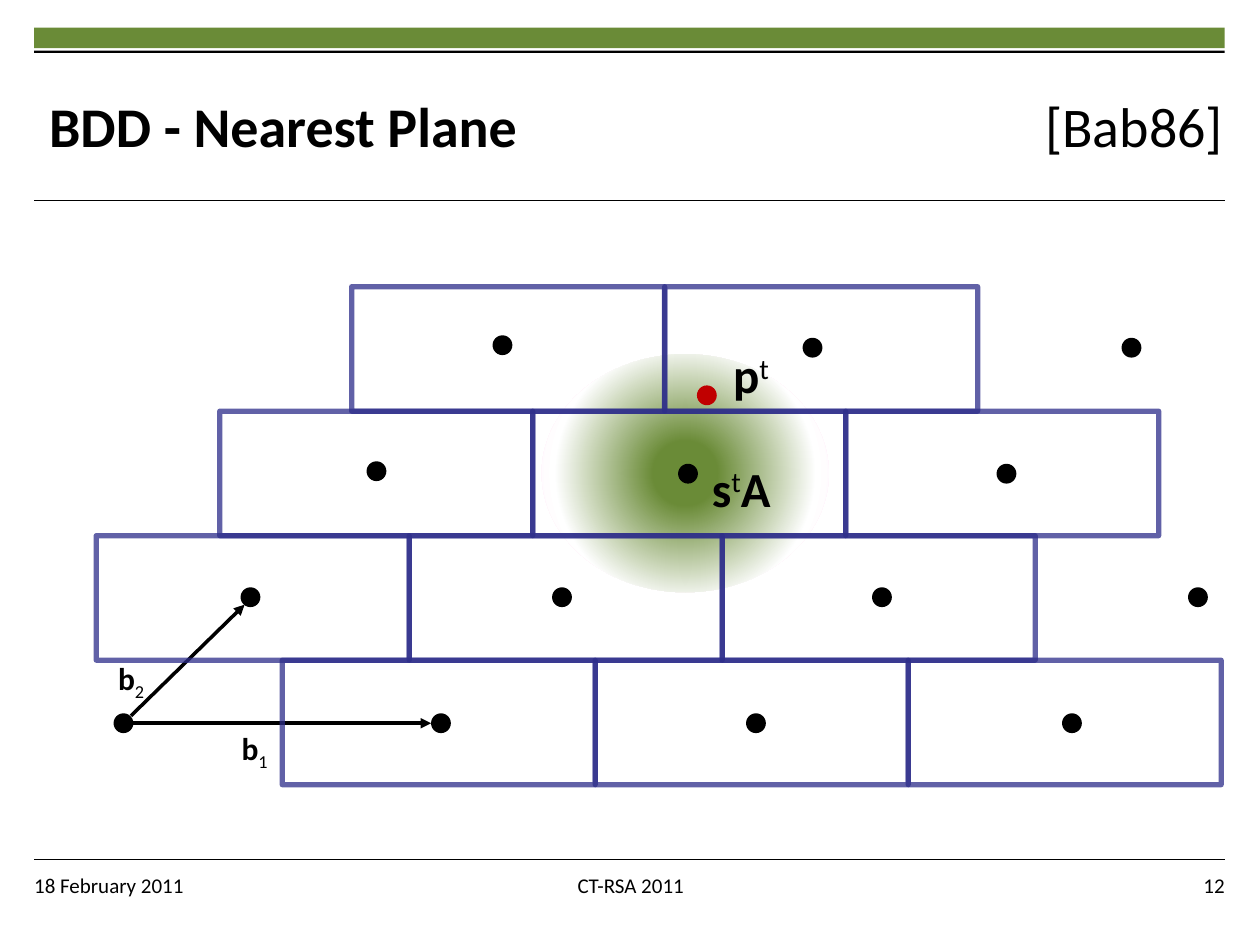
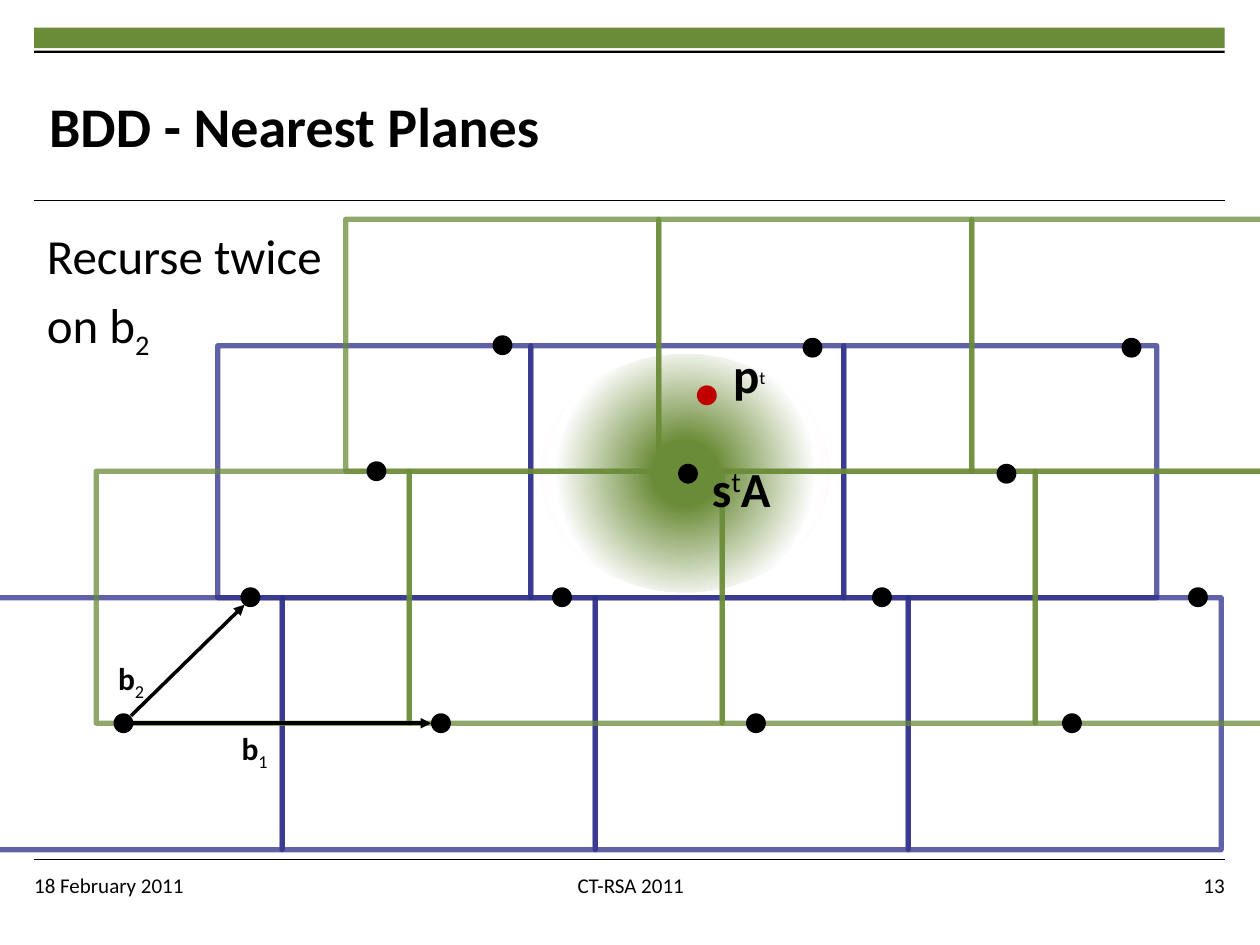
from pptx import Presentation
from pptx.dml.color import RGBColor
from pptx.enum.shapes import MSO_CONNECTOR, MSO_SHAPE
from pptx.enum.text import MSO_ANCHOR, MSO_AUTO_SIZE, PP_ALIGN
from pptx.oxml import parse_xml
from pptx.oxml.ns import nsdecls, qn
from pptx.util import Cm, Pt
from lxml.etree import SubElement

# Style
FONT = "Calibri"
BLACK = RGBColor(0x00, 0x00, 0x00)
GREEN = RGBColor(0x6A, 0x8B, 0x37)
BLUE = RGBColor(0x2D, 0x2D, 0x8A)
RED = RGBColor(0xC0, 0x00, 0x00)
WHITE = RGBColor(0xFF, 0xFF, 0xFF)
RIM = RGBColor(0xFF, 0xEB, 0xFA)
TITLE_LAYOUT, LIST_LAYOUT = 5, 1
LEFT, RIGHT = 0.69, 24.69
SUB, SUPER = -25, 30

# Lattice geometry, in centimetres
DOT = 0.4
CELL_WIDTH = 6.31
LATTICE = [
    (2.29, 14.38), (8.69, 14.38), (15.04, 14.38), (21.41, 14.38),
    (4.85, 11.84), (11.13, 11.84), (17.58, 11.84), (23.95, 11.84),
    (7.39, 9.3), (13.67, 9.35), (20.09, 9.35),
    (9.93, 6.76), (16.18, 6.81), (22.61, 6.81),
]


class Deck:
    def __init__(self):
        self.prs = Presentation()
        self.prs.slide_width, self.prs.slide_height = Cm(25.4), Cm(19.05)
        self.slide = None

    # Slide and shared frame
    def new_slide(self, layout, number, title_runs):
        first = self.slide is None
        self.slide = self.prs.slides.add_slide(self.prs.slide_layouts[layout])
        if first:
            self.frame()
        self.title(title_runs)
        self.footer(0.69, 5.92, "18 February 2011", PP_ALIGN.LEFT)
        self.footer(8.69, 8.05, "CT-RSA 2011", PP_ALIGN.CENTER)
        self.footer(18.77, 5.92, str(number), PP_ALIGN.RIGHT)

    def frame(self):
        """Draw the band and rules, then move them to the master."""
        parts = [
            self.shape(MSO_SHAPE.RECTANGLE, LEFT, 0.56, RIGHT - LEFT, 0.41, GREEN),
            self.shape(MSO_SHAPE.RECTANGLE, LEFT, 1.02, RIGHT - LEFT, 0.05, BLACK),
            self.line((LEFT, 4.04), (RIGHT, 4.04), 0.6),
            self.line((LEFT, 17.32), (RIGHT, 17.32), 0.6),
        ]
        master = self.prs.slide_master.shapes.element
        for shape_id, part in enumerate(parts, start=20):
            part.element.xpath(".//p:cNvPr")[0].set("id", str(shape_id))
            master.append(part.element)

    # Text
    def add_runs(self, paragraph, runs):
        """Fill a paragraph from (text, size, bold, baseline) runs."""
        for text, size, bold, baseline in runs:
            run = paragraph.add_run()
            run.text = text
            run.font.name, run.font.size, run.font.bold = FONT, Pt(size), bold
            run.font.color.rgb = BLACK
            if baseline:
                run._r.get_or_add_rPr().set("baseline", str(baseline * 1000))

    def place(self, holder, left, top, width, height):
        holder.left, holder.top = Cm(left), Cm(top)
        holder.width, holder.height = Cm(width), Cm(height)
        holder.text_frame.auto_size = MSO_AUTO_SIZE.NONE

    def flush(self, frame):
        frame.margin_left = frame.margin_right = 0
        frame.margin_top = frame.margin_bottom = 0
        frame.vertical_anchor = MSO_ANCHOR.MIDDLE

    def title(self, runs):
        title = self.slide.shapes.title
        self.place(title, 0.99, 1.35, 23.7, 2.34)
        self.flush(title.text_frame)
        paragraph = title.text_frame.paragraphs[0]
        paragraph.alignment = PP_ALIGN.LEFT
        self.add_runs(paragraph, runs)
        tabs = SubElement(paragraph._p.get_or_add_pPr(), qn("a:tabLst"))
        SubElement(tabs, qn("a:tab"), pos=str(int(Cm(23.67))), algn="r")

    def body(self, lines):
        body = self.slide.placeholders[1]
        self.place(body, LEFT, 4.42, RIGHT - LEFT, 12.5)
        frame = body.text_frame
        for index, runs in enumerate(lines):
            paragraph = frame.add_paragraph() if index else frame.paragraphs[0]
            self.add_runs(paragraph, runs)
            properties = paragraph._p.get_or_add_pPr()
            properties.set("marL", "0")
            properties.set("indent", "0")
            SubElement(properties, qn("a:buNone"))

    def footer(self, left, width, text, alignment):
        box = self.slide.shapes.add_textbox(Cm(left), Cm(17.33), Cm(width), Cm(1.02))
        frame = box.text_frame
        frame.word_wrap = True
        self.flush(frame)
        frame.paragraphs[0].alignment = alignment
        self.add_runs(frame.paragraphs[0], [(text, 12, False, 0)])

    def label(self, left, top, width, height, runs):
        box = self.slide.shapes.add_textbox(Cm(left), Cm(top), Cm(width), Cm(height))
        box.text_frame.word_wrap = False
        box.text_frame.auto_size = MSO_AUTO_SIZE.SHAPE_TO_FIT_TEXT
        self.add_runs(box.text_frame.paragraphs[0], runs)

    # Shapes and lines
    def shape(self, kind, left, top, width, height, color=None):
        shape = self.slide.shapes.add_shape(kind, Cm(left), Cm(top), Cm(width), Cm(height))
        shape.shadow.inherit = False
        shape.line.fill.background()
        if color is None:
            shape.fill.background()
        else:
            shape.fill.solid()
            shape.fill.fore_color.rgb = color
        return shape

    def dot(self, left, top, color=BLACK):
        self.shape(MSO_SHAPE.OVAL, left, top, DOT, DOT, color)

    def line(self, start, end, width, arrow=False):
        line = self.slide.shapes.add_connector(
            MSO_CONNECTOR.STRAIGHT, *(Cm(value) for value in (*start, *end)))
        line.line.color.rgb = BLACK
        line.line.width = Pt(width)
        if arrow:
            SubElement(line.line._get_or_add_ln(), qn("a:tailEnd"), type="triangle")
        SubElement(line.element.spPr, qn("a:effectLst"))
        return line

    def cells(self, left, top, count, height, color):
        """Draw a row of adjoining translucent outlines."""
        for column in range(count):
            cell = self.shape(MSO_SHAPE.RECTANGLE, left + column * CELL_WIDTH, top,
                              CELL_WIDTH, height)
            cell.line.color.rgb = color
            cell.line.width = Pt(3)
            rgb = cell.element.spPr.find(".//" + qn("a:srgbClr"))
            SubElement(rgb, qn("a:alpha"), val="75000")

    # Lattice parts
    def noise_cloud(self):
        cloud = self.shape(MSO_SHAPE.OVAL, 10.92, 7.14, 5.79, 4.8)
        stops = "".join(
            f'<a:gs pos="{position}000"><a:srgbClr val="{color}"/></a:gs>'
            for position, color in ((17, GREEN), (70, WHITE), (100, RIM)))
        gradient = parse_xml(
            f'<a:gradFill {nsdecls("a")} rotWithShape="1"><a:gsLst>{stops}</a:gsLst>'
            '<a:path path="circle">'
            '<a:fillToRect l="50000" t="50000" r="50000" b="50000"/>'
            '</a:path></a:gradFill>')
        properties = cloud.element.spPr
        properties.replace(properties.find(qn("a:noFill")), gradient)

    def basis(self):
        self.line((2.64, 14.43), (4.93, 12.19), 2, arrow=True)
        self.line((2.69, 14.58), (8.69, 14.58), 2, arrow=True)
        for left, top, index in ((4.62, 14.58, "1"), (2.13, 13.16, "2")):
            self.label(left, top, 1.1, 1.02, [("b", 18, True, 0), (index, 18, False, SUB)])

    def points(self, target_width, exponent_size):
        for left, top in LATTICE:
            self.dot(left, top)
        self.label(14.1, 9.12, 1.73, 1.45,
                   [("s", 28, True, 0), ("t", 28, False, SUPER), ("A", 28, True, 0)])
        self.dot(14.05, 7.77, RED)
        self.label(14.53, 6.83, target_width, 1.45,
                   [("p", 28, True, 0), ("t", exponent_size, False, SUPER)])


def main():
    deck = Deck()

    # Nearest plane: one layer of bricks
    deck.new_slide(TITLE_LAYOUT, 12, [("BDD - Nearest Plane\t", 32, True, 0),
                                      ("[Bab86]", 32, False, 0)])
    deck.noise_cloud()
    deck.basis()
    brick_height = 2.51
    brick_rows = ((7.09, 2), (4.43, 3), (1.94, 3), (5.69, 3))
    for row, (left, count) in enumerate(brick_rows):
        deck.cells(left, 5.78 + row * brick_height, count, brick_height, BLUE)
    deck.points(1.27, 28)

    # Nearest planes: two overlapping layers of taller cells
    deck.new_slide(LIST_LAYOUT, 13, [("BDD - Nearest Planes", 32, True, 0)])
    deck.body([[("Recurse twice", 28, False, 0)],
               [("on b", 28, False, 0), ("2", 28, False, SUB)]])
    tall_height = 5.08
    deck.cells(4.39, 6.97, 3, tall_height, BLUE)
    deck.cells(-0.62, 12.05, 4, tall_height, BLUE)
    deck.noise_cloud()
    deck.cells(1.94, 9.5, 4, tall_height, GREEN)
    deck.cells(6.97, 4.42, 3, tall_height, GREEN)
    deck.basis()
    deck.points(1.19, 18)

    deck.prs.save("out.pptx")


if __name__ == "__main__":
    main()
